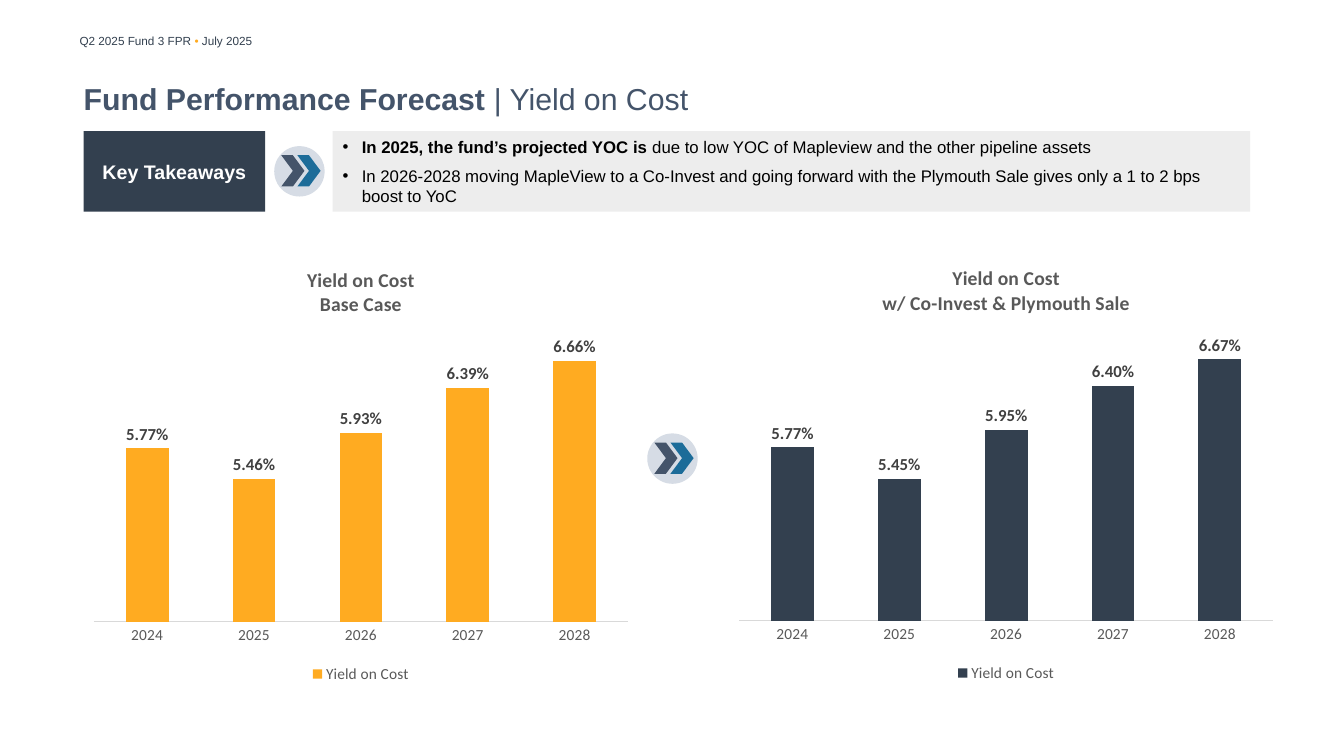
from dataclasses import dataclass

from lxml import etree
from pptx import Presentation
from pptx.chart.data import CategoryChartData
from pptx.dml.color import RGBColor
from pptx.enum.chart import XL_CHART_TYPE, XL_LABEL_POSITION, XL_LEGEND_POSITION, XL_TICK_LABEL_POSITION, XL_TICK_MARK
from pptx.enum.shapes import MSO_SHAPE
from pptx.enum.text import MSO_ANCHOR, PP_ALIGN
from pptx.oxml import parse_xml
from pptx.oxml.ns import nsdecls, qn
from pptx.util import Inches, Pt

RECTANGLE, ELLIPSE, CHEVRON = MSO_SHAPE.RECTANGLE, MSO_SHAPE.OVAL, MSO_SHAPE.CHEVRON
MIDDLE, TOP = MSO_ANCHOR.MIDDLE, MSO_ANCHOR.TOP
LEFT, CENTER = PP_ALIGN.LEFT, PP_ALIGN.CENTER
COLUMNS = XL_CHART_TYPE.COLUMN_CLUSTERED
OUTSIDE_END = XL_LABEL_POSITION.OUTSIDE_END
BOTTOM = XL_LEGEND_POSITION.BOTTOM
NO_LABELS, NO_TICKS = XL_TICK_LABEL_POSITION.NONE, XL_TICK_MARK.NONE


@dataclass(frozen=True)
class Theme:
    navy: str = "33404F"
    slate: str = "44546A"
    blue: str = "1C6C99"
    amber: str = "FFAB21"
    mist: str = "D6DCE5"
    pale: str = "EDEDED"
    white: str = "FFFFFF"
    black: str = "000000"
    chart_text: str = "595959"
    label_text: str = "404040"
    axis_line: str = "D9D9D9"
    text_font: str = "Arial"
    chart_font: str = "Calibri"
    header_size: float = 8.4
    title_size: float = 21.6
    key_size: float = 14
    body_size: float = 12
    chart_title_size: float = 14
    label_size: float = 12
    axis_size: float = 11


THEME = Theme()
YEARS = ("2024", "2025", "2026", "2027", "2028")
BASE_YIELDS = (0.0577, 0.0546, 0.0593, 0.0639, 0.0666)
CO_INVEST_YIELDS = (0.0577, 0.0545, 0.0595, 0.0640, 0.0667)


def style_font(font, size, color, bold=False, name=THEME.text_font):
    font.name, font.size, font.bold = name, Pt(size), bold
    font.color.rgb = RGBColor.from_string(color)


def add_panel(shapes, kind, left, top, width, height, color):
    panel = shapes.add_shape(kind, Inches(left), Inches(top), Inches(width), Inches(height))
    panel.shadow.inherit = False
    panel.fill.solid()
    panel.fill.fore_color.rgb = RGBColor.from_string(color)
    panel.line.fill.background()
    return panel


def add_text_box(page, left, top, width, height):
    box = page.shapes.add_textbox(Inches(left), Inches(top), Inches(width), Inches(height))
    box.text_frame.word_wrap = True
    return box.text_frame


def write_spans(para, size, spans):
    for text, color, bold in spans:
        span = para.add_run()
        span.text = text
        style_font(span.font, size, color, bold)


def add_bullet(para):
    properties = para._p.get_or_add_pPr()
    properties.set("marL", str(Inches(0.19)))
    properties.set("indent", str(Inches(-0.19)))
    etree.SubElement(properties, qn("a:buFont")).set("typeface", THEME.text_font)
    etree.SubElement(properties, qn("a:buChar")).set("char", "•")


def add_heading(page):
    header = add_text_box(page, 0.69, 0.29, 4.51, 0.24)
    write_spans(header.paragraphs[0], THEME.header_size, (
        ("Q2 2025 Fund 3 FPR ", THEME.navy, False),
        ("• ", THEME.amber, False),
        ("July 2025", THEME.navy, False),
    ))
    title = add_text_box(page, 0.83, 0.6, 11.02, 0.75)
    title.vertical_anchor = MIDDLE
    title.margin_left = title.margin_right = title.margin_top = title.margin_bottom = 0
    write_spans(title.paragraphs[0], THEME.title_size, (
        ("Fund Performance Forecast ", THEME.slate, True),
        ("| Yield on Cost", THEME.slate, False),
    ))


def add_takeaways(page):
    key = add_panel(page.shapes, RECTANGLE, 0.83, 1.3, 1.8, 0.8, THEME.navy).text_frame
    key.vertical_anchor = MIDDLE
    key.text = "Key Takeaways"
    key.paragraphs[0].alignment = CENTER
    style_font(key.paragraphs[0].font, THEME.key_size, THEME.white, True)

    frame = add_panel(page.shapes, RECTANGLE, 3.3, 1.3, 9.1, 0.8, THEME.pale).text_frame
    frame.word_wrap = True
    frame.vertical_anchor = MIDDLE
    bullets = (
        (("In 2025, the fund’s projected YOC is ", THEME.black, True),
         ("due to low YOC of Mapleview and the other pipeline assets", THEME.black, False)),
        (("In 2026-2028 moving MapleView to a Co-Invest and going forward with the Plymouth Sale "
          "gives only a 1 to 2 bps boost to YoC", THEME.black, False),),
    )
    for index, spans in enumerate(bullets):
        para = frame.paragraphs[0] if index == 0 else frame.add_paragraph()
        para.alignment = LEFT
        para.space_before = Pt(6 if index else 0)
        add_bullet(para)
        write_spans(para, THEME.body_size, spans)


def add_chevron_badge(page, left, top):
    badge = page.shapes.add_group_shape()
    add_panel(badge.shapes, ELLIPSE, left, top, 0.5, 0.5, THEME.mist)
    for offset, color in ((0.07, THEME.slate), (0.23, THEME.blue)):
        add_panel(badge.shapes, CHEVRON, left + offset, top + 0.09, 0.23, 0.31, color)


def place_plot(chart):
    layout = parse_xml(
        f'<c:layout {nsdecls("c")}><c:manualLayout><c:layoutTarget val="inner"/>'
        '<c:xMode val="edge"/><c:yMode val="edge"/><c:x val="0.02"/><c:y val="0.18"/>'
        '<c:w val="0.96"/><c:h val="0.67"/></c:manualLayout></c:layout>')
    plot_area = chart._chartSpace.chart.plotArea
    for old_layout in plot_area.findall(qn("c:layout")):
        plot_area.remove(old_layout)
    plot_area.insert(0, layout)


def style_axes(chart):
    years = chart.category_axis
    years.major_tick_mark = years.minor_tick_mark = NO_TICKS
    style_font(years.tick_labels.font, THEME.axis_size, THEME.chart_text, name=THEME.chart_font)
    years.format.line.color.rgb = RGBColor.from_string(THEME.axis_line)
    years.format.line.width = Pt(0.75)

    yields = chart.value_axis
    yields.minimum_scale, yields.maximum_scale = 0.04, 0.07
    yields.has_major_gridlines = False
    yields.major_tick_mark = yields.minor_tick_mark = NO_TICKS
    yields.tick_label_position = NO_LABELS
    yields.format.line.fill.background()


def add_yield_chart(page, left, top, subtitle, values, color):
    data = CategoryChartData(number_format="0.00%")
    data.categories = YEARS
    data.add_series("Yield on Cost", values)
    chart = page.shapes.add_chart(
        COLUMNS, Inches(left), Inches(top), Inches(5.52), Inches(4.35), data).chart
    style_font(chart.font, 10, THEME.black, name=THEME.chart_font)

    chart.has_title = True
    chart.chart_title.include_in_layout = False
    title = chart.chart_title.text_frame
    title.text = f"Yield on Cost\n{subtitle}"
    for para in title.paragraphs:
        style_font(para.font, THEME.chart_title_size, THEME.chart_text, True, THEME.chart_font)

    chart.has_legend = True
    chart.legend.position = BOTTOM
    chart.legend.include_in_layout = False
    style_font(chart.legend.font, THEME.axis_size, THEME.chart_text, name=THEME.chart_font)
    style_axes(chart)
    place_plot(chart)

    plot = chart.plots[0]
    plot.gap_width = 150
    plot.vary_by_categories = False
    series = plot.series[0]
    series.format.fill.solid()
    series.format.fill.fore_color.rgb = RGBColor.from_string(color)
    labels = series.data_labels
    labels.show_value = True
    labels.position = OUTSIDE_END
    labels.number_format, labels.number_format_is_linked = "0.00%", False
    style_font(labels.font, THEME.label_size, THEME.label_text, True, THEME.chart_font)


def main():
    deck = Presentation()
    deck.slide_width, deck.slide_height = Inches(13.33), Inches(7.5)
    page = deck.slides.add_slide(deck.slide_layouts[6])
    add_heading(page)
    add_takeaways(page)
    add_chevron_badge(page, 2.72, 1.45)
    add_yield_chart(page, 0.82, 2.47, "Base Case", BASE_YIELDS, THEME.amber)
    add_chevron_badge(page, 6.42, 4.3)
    add_yield_chart(page, 7.22, 2.46, "w/ Co-Invest & Plymouth Sale", CO_INVEST_YIELDS, THEME.navy)
    deck.save("out.pptx")


if __name__ == "__main__":
    main()
